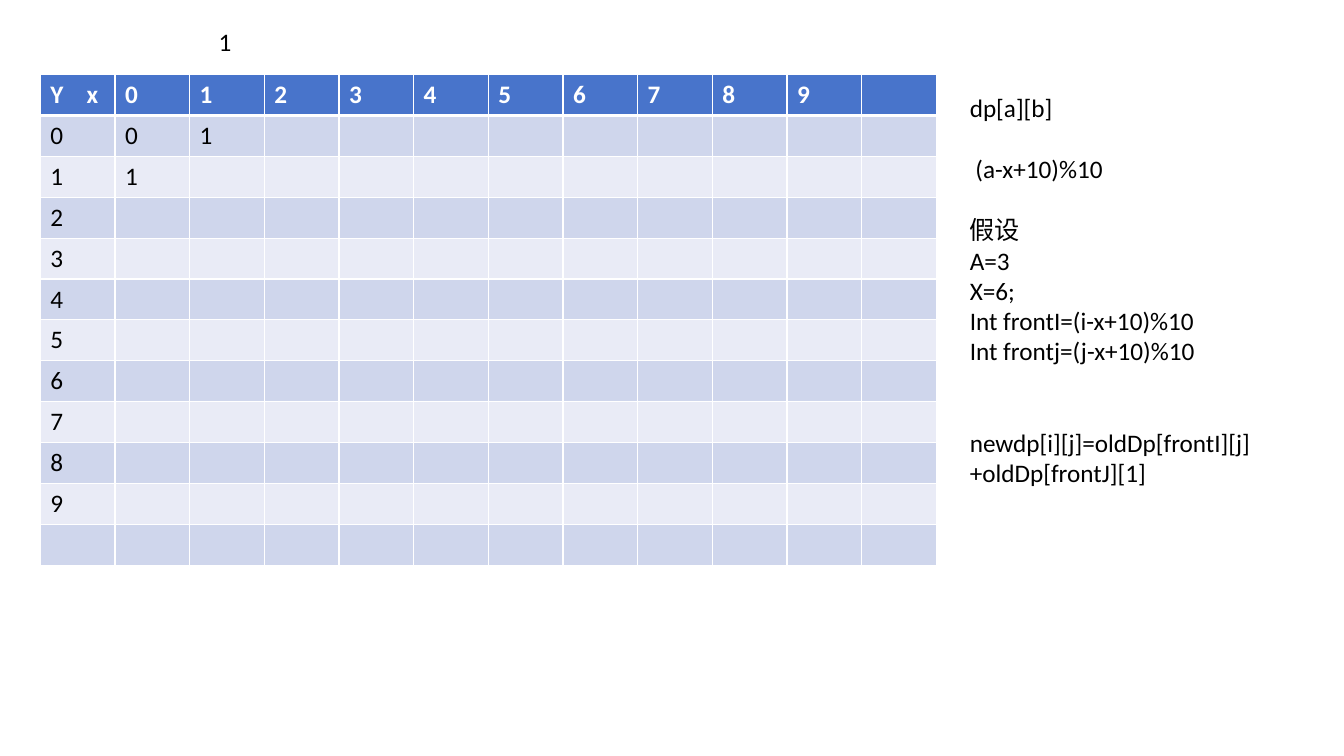
from dataclasses import dataclass

from lxml.etree import SubElement
from pptx import Presentation
from pptx.dml.color import RGBColor
from pptx.enum.text import MSO_AUTO_SIZE
from pptx.oxml.ns import qn
from pptx.util import Inches, Pt


@dataclass(frozen=True)
class Theme:
    font: str = "Calibri"
    size: int = 18
    line_height: int = 22
    ink: str = "000000"
    white: str = "FFFFFF"
    header: str = "4874CB"
    bands: tuple = ("CFD6EC", "E9EBF6")
    border: int = 1
    header_border: int = 3


THEME = Theme()
GRID_SIZE = 12
DIGITS = [str(digit) for digit in range(10)]
HEADINGS = ["Y\tx", *DIGITS]
FIRST_VALUES = {(1, 1): "0", (1, 2): "1", (2, 1): "1"}

# Each line with the number of line heights left free above it
NOTES = [
    ("dp[a][b]", 0),
    (" (a-x+10)%10", 1),
    ("假设", 1),
    ("A=3", 0),
    ("X=6;", 0),
    ("Int frontI=(i-x+10)%10", 0),
    ("Int frontj=(j-x+10)%10", 0),
    ("newdp[i][j]=oldDp[frontI][j]+oldDp[frontJ][1]", 2),
]


def write(para, text, color=THEME.ink, bold=False):
    span = para.add_run()
    span.text = text
    span.font.color.rgb = RGBColor.from_string(color)
    formats = {"name": THEME.font, "size": Pt(THEME.size), "bold": bold}
    for name, value in formats.items():
        setattr(span.font, name, value)


def add_tab_stop(para, position):
    stops = SubElement(para._p.get_or_add_pPr(), qn("a:tabLst"))
    SubElement(stops, qn("a:tab"), pos=str(position), algn="l")


def set_borders(cell, widths):
    """Draw white borders; widths holds points for the sides L, R, T and B."""
    properties = cell._tc.get_or_add_tcPr()
    for side, width in widths.items():
        line = SubElement(properties, qn(f"a:ln{side}"), w=str(Pt(width)))
        fill = SubElement(line, qn("a:solidFill"))
        SubElement(fill, qn("a:srgbClr"), val=THEME.white)


def cell_text(row, column):
    if row == 0:
        return HEADINGS[column] if column < len(HEADINGS) else ""
    if column == 0:
        return DIGITS[row - 1] if row <= len(DIGITS) else ""
    return FIRST_VALUES.get((row, column), "")


def add_state_table(slide, left, top, width, height):
    frame = slide.shapes.add_table(
        GRID_SIZE, GRID_SIZE, Inches(left), Inches(top), Inches(width), Inches(height))
    table = frame.table
    for row in range(GRID_SIZE):
        is_header = row == 0
        for column in range(GRID_SIZE):
            cell = table.cell(row, column)
            widths = dict.fromkeys("LRTB", THEME.border)
            if is_header:
                widths["B"] = THEME.header_border
            elif row == 1:
                widths["T"] = THEME.header_border
            set_borders(cell, widths)
            cell.fill.solid()
            color = THEME.header if is_header else THEME.bands[(row - 1) % 2]
            cell.fill.fore_color.rgb = RGBColor.from_string(color)
            text = cell_text(row, column)
            if text:
                write(cell.text_frame.paragraphs[0], text,
                      THEME.white if is_header else THEME.ink, is_header)
    add_tab_stop(table.cell(0, 0).text_frame.paragraphs[0], Inches(0.36))


def add_text(slide, lines, left, top, width, height):
    box = slide.shapes.add_textbox(
        Inches(left), Inches(top), Inches(width), Inches(height))
    frame = box.text_frame
    frame.word_wrap = True
    frame.auto_size = MSO_AUTO_SIZE.SHAPE_TO_FIT_TEXT
    for index, (text, free_lines) in enumerate(lines):
        para = frame.add_paragraph() if index else frame.paragraphs[0]
        para.space_before = Pt(free_lines * THEME.line_height)
        write(para, text)


def main():
    deck = Presentation()
    deck.slide_width, deck.slide_height = Inches(13.33), Inches(7.5)
    slide = deck.slides.add_slide(deck.slide_layouts[6])
    add_state_table(slide, 0.4, 0.74, 8.89, 4.87)
    add_text(slide, NOTES, 9.52, 0.87, 3.82, 4.04)
    add_text(slide, [("1", 0)], 2.07, 0.21, 4.03, 0.4)
    deck.save("out.pptx")


if __name__ == "__main__":
    main()
